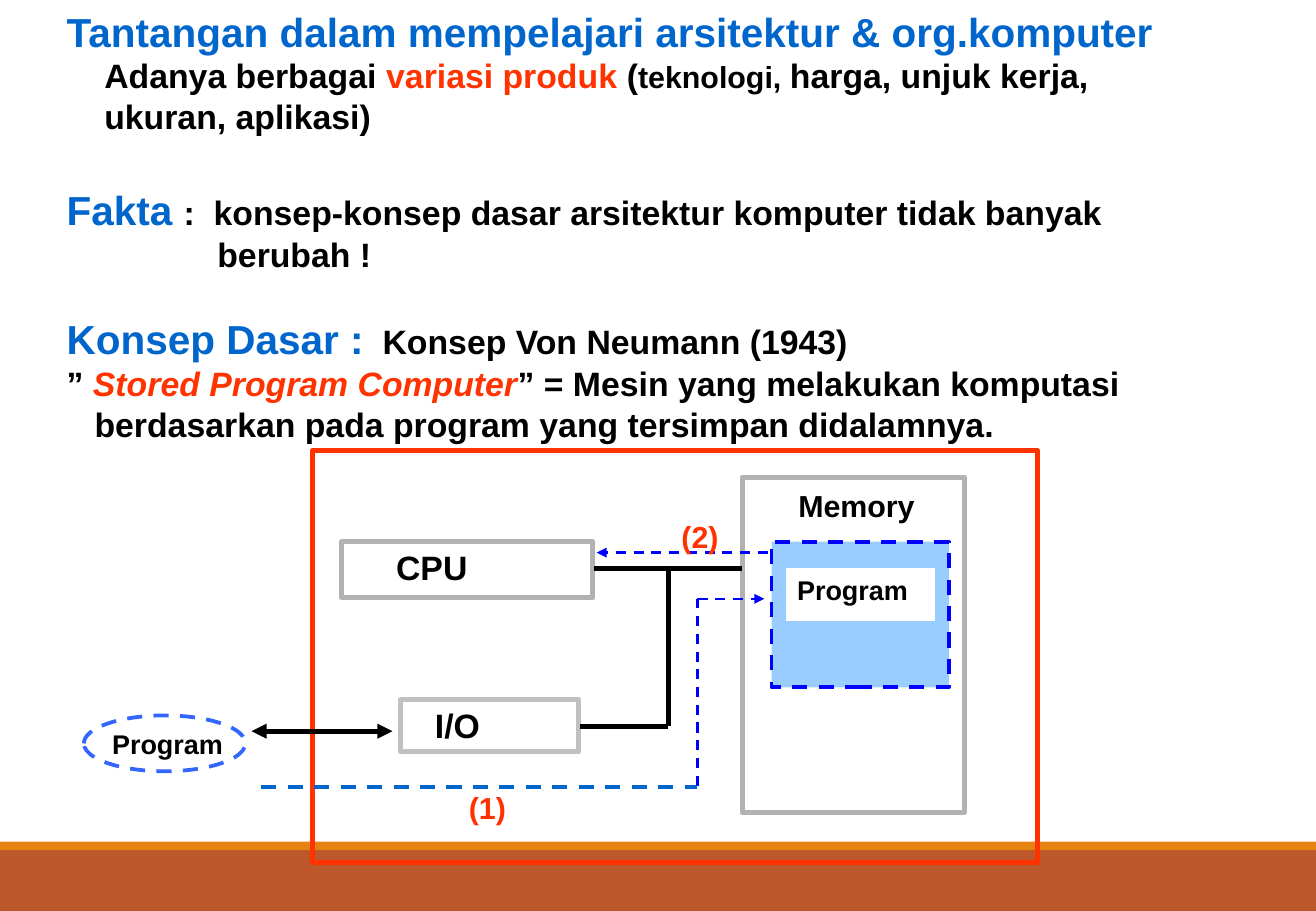
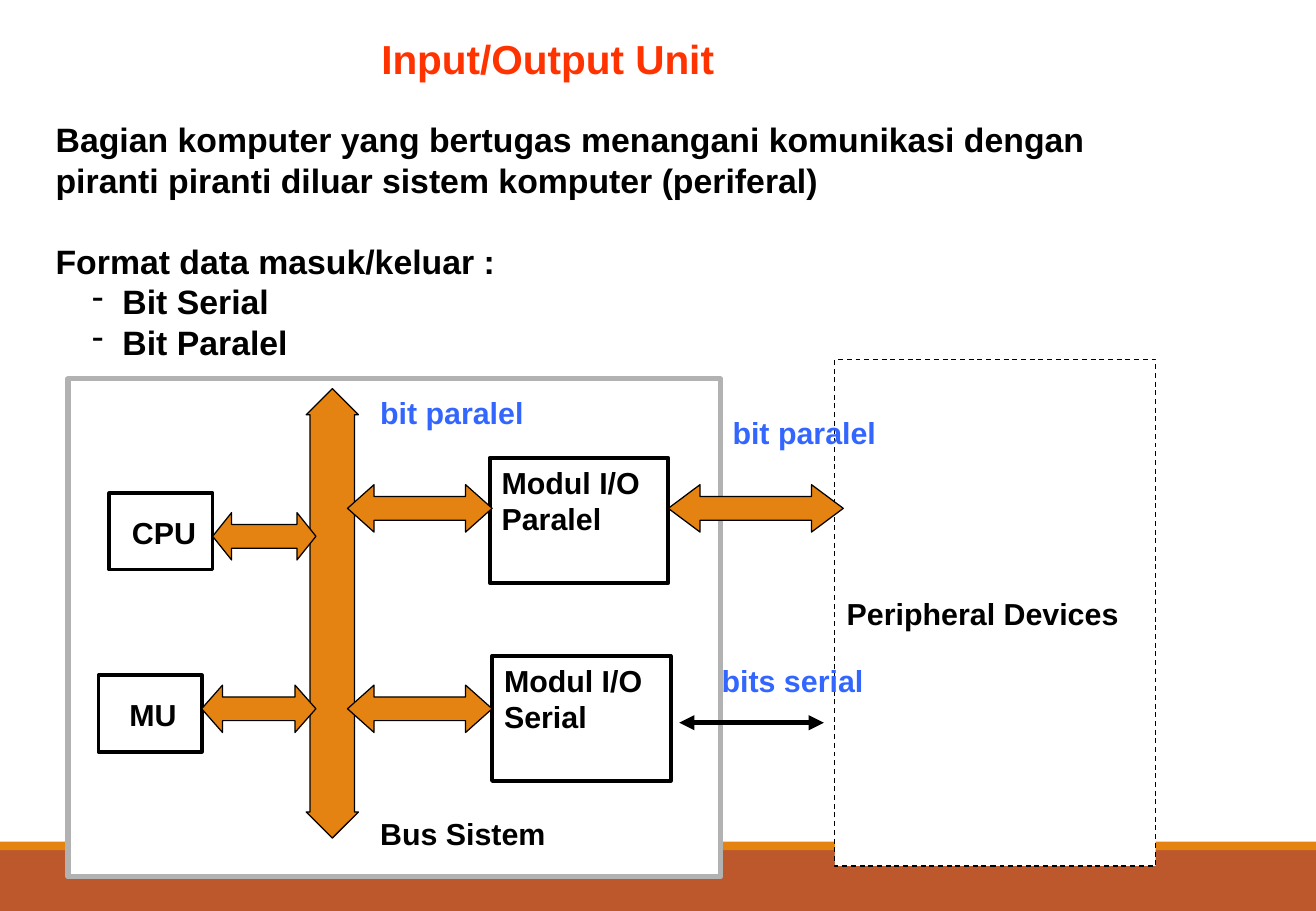
"""Build two slides on computer organisation: stored programs and the I/O unit."""
from dataclasses import dataclass

from lxml.etree import SubElement
from pptx import Presentation
from pptx.dml.color import RGBColor
from pptx.enum.dml import MSO_LINE
from pptx.enum.shapes import MSO_CONNECTOR, MSO_SHAPE as Kind
from pptx.enum.text import MSO_ANCHOR as Anchor, PP_ALIGN as Align
from pptx.oxml.ns import qn
from pptx.util import Inches, Pt

COLORS = {
    "black": "000000", "white": "FFFFFF", "heading": "0066CC", "accent": "FF3300",
    "signal": "3366FF", "flow": "0000FF", "program": "99CCFF", "frame": "B2B2B2",
    "silver": "C0C0C0", "orange": "E48312", "rust": "BD582C",
}
FONT = "Arial"
WIDTH, HEIGHT = 10.83, 7.5
LINE_RATIO = 1.2
ARROW_DEPTH = 0.39


@dataclass(frozen=True)
class Span:
    text: str
    color: str = "black"
    size: float = 20
    italic: bool = False


@dataclass(frozen=True)
class Para:
    spans: tuple[Span, ...]
    left: float = 0
    before: float = 0
    tab: float = 0
    bullet: str = ""


@dataclass(frozen=True)
class Block:
    left: float
    top: float
    width: float
    height: float
    fill: str = ""
    line: str = ""
    weight: float = 2.25
    dashed: bool = False
    kind: Kind = Kind.RECTANGLE
    paras: tuple[Para, ...] = ()
    inset: tuple[float, float] = (0.1, 0.05)
    anchor: Anchor = Anchor.TOP
    centred: bool = False
    adjust: tuple[float, ...] = ()


@dataclass(frozen=True)
class Link:
    start: tuple[float, float]
    end: tuple[float, float]
    color: str = "black"
    weight: float = 3
    dashed: bool = False
    heads: tuple[str, ...] = ()


def rgb(name: str) -> RGBColor:
    return RGBColor.from_string(COLORS[name])


def lines(*texts: str, size: float = 18, color: str = "black") -> tuple[Para, ...]:
    return tuple(Para((Span(text, color, size),)) for text in texts)


def write(frame, paras: tuple[Para, ...], centred: bool = False) -> None:
    for index, item in enumerate(paras):
        para = frame.paragraphs[0] if index == 0 else frame.add_paragraph()
        para.alignment = Align.CENTER if centred else Align.LEFT
        para.line_spacing = Pt(LINE_RATIO * max(span.size for span in item.spans))
        para.space_before = Pt(item.before)
        properties = para._p.get_or_add_pPr()
        properties.set("marL", str(Inches(item.left)))
        if item.bullet:
            properties.set("indent", str(-Inches(0.25)))
            SubElement(properties, qn("a:buChar"), char=item.bullet)
        if item.tab:
            stops = SubElement(properties, qn("a:tabLst"))
            SubElement(stops, qn("a:tab"), pos=str(Inches(item.tab)), algn="l")
        for span in item.spans:
            run = para.add_run()
            run.text = span.text
            font = run.font
            font.name, font.size, font.bold = FONT, Pt(span.size), True
            font.italic = span.italic
            font.color.rgb = rgb(span.color)


def set_frame(frame, block: Block) -> None:
    frame.word_wrap = not block.centred
    frame.vertical_anchor = block.anchor
    frame.margin_left, frame.margin_top = map(Inches, block.inset)
    frame.margin_right, frame.margin_bottom = Inches(0.05), Inches(0.04)
    write(frame, block.paras, block.centred)


def draw_block(page, block: Block) -> None:
    place = map(Inches, (block.left, block.top, block.width, block.height))
    if not block.fill and not block.line:
        set_frame(page.shapes.add_textbox(*place).text_frame, block)
        return
    box = page.shapes.add_shape(block.kind, *place)
    box.shadow.inherit = False
    for index, value in enumerate(block.adjust):
        box.adjustments[index] = value
    if block.fill:
        box.fill.solid()
        box.fill.fore_color.rgb = rgb(block.fill)
    else:
        box.fill.background()
    if block.line:
        box.line.color.rgb = rgb(block.line)
        box.line.width = Pt(block.weight)
        if block.dashed:
            box.line.dash_style = MSO_LINE.DASH
    else:
        box.line.fill.background()
    if block.paras:
        set_frame(box.text_frame, block)


def draw_link(page, link: Link) -> None:
    ends = map(Inches, (*link.start, *link.end))
    connector = page.shapes.add_connector(MSO_CONNECTOR.STRAIGHT, *ends)
    connector.line.color.rgb = rgb(link.color)
    connector.line.width = Pt(link.weight)
    if link.dashed:
        connector.line.dash_style = MSO_LINE.DASH
    outline = connector.line._get_or_add_ln()
    for head in link.heads:
        SubElement(outline, qn(f"a:{head}"), type="triangle")
    SubElement(connector._element.spPr, qn("a:effectLst"))


def label(left: float, top: float, width: float, text: str, color: str) -> Block:
    return Block(left, top, width, 0.4, paras=lines(text, color=color))


def bus_arrow(left: float, top: float, width: float, point: float) -> Block:
    return Block(left, top, width, ARROW_DEPTH, "orange", "black", 0.75,
                 kind=Kind.LEFT_RIGHT_ARROW, adjust=(0.5, point))


def io_module(left: float, top: float, name: str) -> Block:
    return Block(left, top, 1.47, 1.03, line="black", paras=lines("Modul I/O", name))


def unit(left: float, top: float, name: str) -> Block:
    return Block(left, top, 0.85, 0.63, "white", "black", paras=lines(name),
                 anchor=Anchor.MIDDLE, centred=True)


BANDS = (
    Block(0, 7, WIDTH, 0.5, "rust"),
    Block(0, 6.93, WIDTH, 0.07, "orange"),
)

CONCEPT_TEXT = (
    Para((Span("Tantangan dalam mempelajari arsitektur & org.komputer", "heading", 24),)),
    Para((Span("Adanya berbagai "), Span("variasi produk", "accent"), Span(" ("),
          Span("teknologi, ", size=18), Span("harga, unjuk kerja,")), left=0.31),
    Para((Span("ukuran, aplikasi)"),), left=0.31),
    Para((Span("Fakta ", "heading", 24),
          Span(":\tkonsep-konsep dasar arsitektur komputer tidak banyak")),
         before=28.8, tab=1.21),
    Para((Span("berubah !"),), left=1.24),
    Para((Span("Konsep Dasar :", "heading", 24), Span("\tKonsep Von Neumann (1943)")),
         before=24, tab=2.6),
    Para((Span("” "), Span("Stored Program Computer", "accent", italic=True),
          Span("” = Mesin yang melakukan komputasi"))),
    Para((Span("berdasarkan pada program yang tersimpan didalamnya."),), left=0.23),
)

CONCEPT = (
    Block(0.45, 0, 10.08, 3.7, paras=CONCEPT_TEXT, anchor=Anchor.MIDDLE),
    Block(2.57, 3.71, 5.97, 3.39, line="accent", weight=3),
    Block(2.81, 4.46, 2.07, 0.46, line="frame", weight=3,
          paras=lines("CPU", size=20), inset=(0.45, 0.04)),
    Block(6.11, 3.93, 1.83, 2.76, line="frame", weight=3,
          paras=lines("Memory"), inset=(0.46, 0.08)),
    Block(3.3, 5.76, 1.46, 0.43, "white", "silver", 3,
          paras=lines("I/O", size=20), inset=(0.28, 0.04)),
    Link((5.5, 4.68), (5.5, 5.98)),
    Link((5.5, 5.98), (4.77, 5.98)),
    Link((4.89, 4.68), (6.11, 4.68)),
    Block(6.35, 4.46, 1.46, 1.2, "program", "flow", dashed=True),
    Block(6.47, 4.68, 1.22, 0.43, "white", "white", 0.75,
          paras=lines("Program", size=16), inset=(0.09, 0.04)),
    Link((6.32, 4.55), (4.91, 4.55), "flow", 1.5, True, ("tailEnd",)),
    Link((5.74, 6.47), (5.74, 4.93), "flow", 1.5, True),
    Link((5.74, 4.93), (6.29, 4.93), "flow", 1.5, True, ("tailEnd",)),
    Link((2.15, 6.48), (5.74, 6.48), "heading", 2.25, True),
    Link((2.07, 6.02), (3.23, 6.02), heads=("headEnd", "tailEnd")),
    Block(0.69, 5.89, 1.33, 0.46, "white", "signal", dashed=True, kind=Kind.OVAL,
          paras=lines("Program", size=16), anchor=Anchor.MIDDLE, centred=True),
    label(3.76, 6.45, 0.6, "(1)", "accent"),
    label(5.51, 4.22, 0.6, "(2)", "accent"),
)

IO_TEXT = (
    Para((Span("Input/Output Unit", "accent", 24),), left=2.68),
    Para((Span("Bagian komputer yang bertugas menangani komunikasi dengan"),), before=21.6),
    Para((Span("piranti piranti diluar sistem komputer (periferal)"),)),
    Para((Span("Format data masuk/keluar :"),), before=24),
    Para((Span("Bit Serial"),), left=0.55, bullet="-"),
    Para((Span("Bit Paralel"),), left=0.55, bullet="-"),
)

IO_UNIT = (
    Block(6.87, 2.96, 2.64, 4.17, "white", "black", 0.75, True,
          paras=lines("Peripheral Devices"), anchor=Anchor.MIDDLE),
    Block(0.36, 0.23, 9.46, 3.13, paras=IO_TEXT),
    Block(0.56, 3.12, 5.37, 4.1, "white", "frame", 3),
    Block(2.52, 3.2, 0.43, 3.7, "orange", "black", 0.75,
          kind=Kind.UP_DOWN_ARROW, adjust=(0.59, 0.85)),
    io_module(4.03, 3.77, "Paralel"),
    io_module(4.05, 5.4, "Serial"),
    bus_arrow(2.86, 3.99, 1.19, 0.56),
    bus_arrow(2.86, 5.64, 1.19, 0.56),
    bus_arrow(5.5, 3.99, 1.44, 0.67),
    Link((5.59, 5.95), (6.78, 5.95), heads=("headEnd", "tailEnd")),
    label(5.93, 3.36, 1.71, "bit paralel", "signal"),
    label(5.84, 5.4, 1.62, "bits serial", "signal"),
    label(3.03, 3.2, 1.71, "bit paralel", "signal"),
    label(3.03, 6.66, 1.69, "Bus Sistem", "black"),
    unit(0.9, 4.06, "CPU"),
    unit(0.81, 5.56, "MU"),
    bus_arrow(1.75, 4.22, 0.85, 0.4),
    bus_arrow(1.66, 5.64, 0.94, 0.44),
)


def main() -> None:
    deck = Presentation()
    deck.slide_width, deck.slide_height = Inches(WIDTH), Inches(HEIGHT)
    for content in (CONCEPT, IO_UNIT):
        page = deck.slides.add_slide(deck.slide_layouts[6])
        for item in BANDS + content:
            if isinstance(item, Link):
                draw_link(page, item)
            else:
                draw_block(page, item)
    deck.save("out.pptx")


if __name__ == "__main__":
    main()
